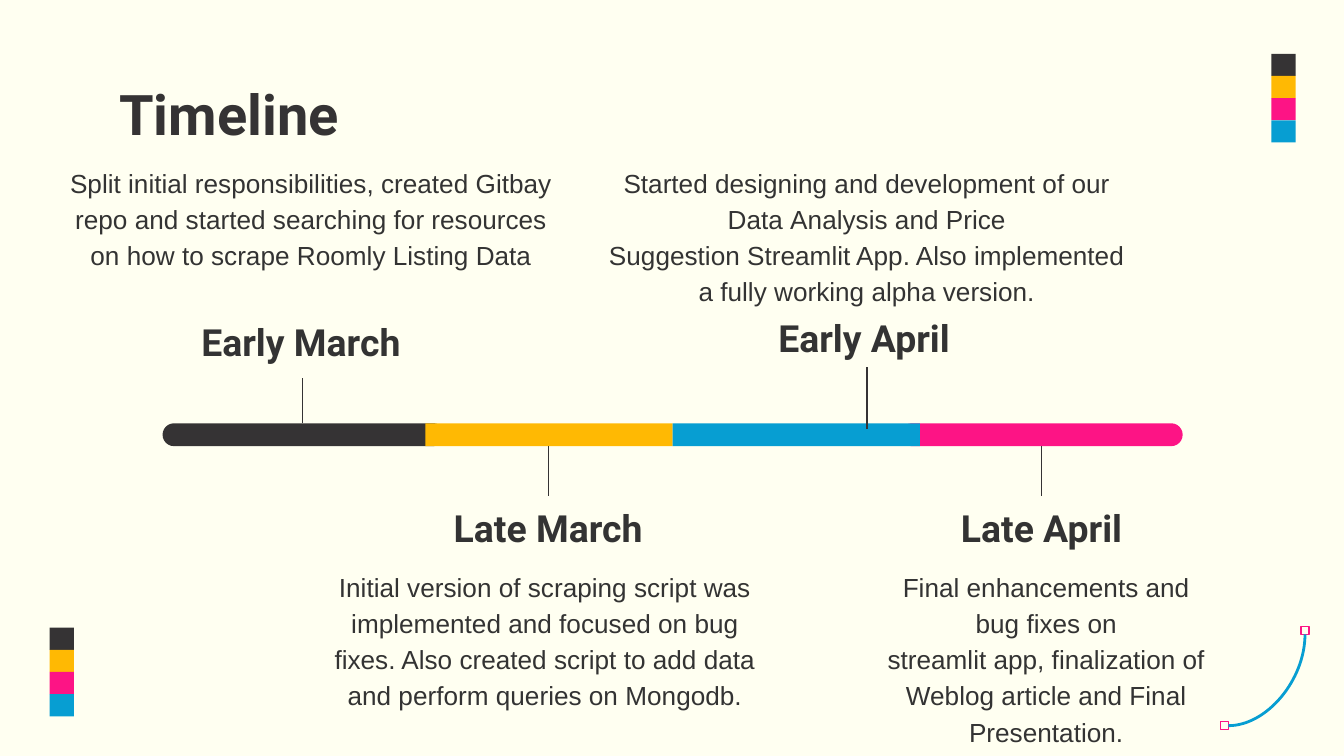
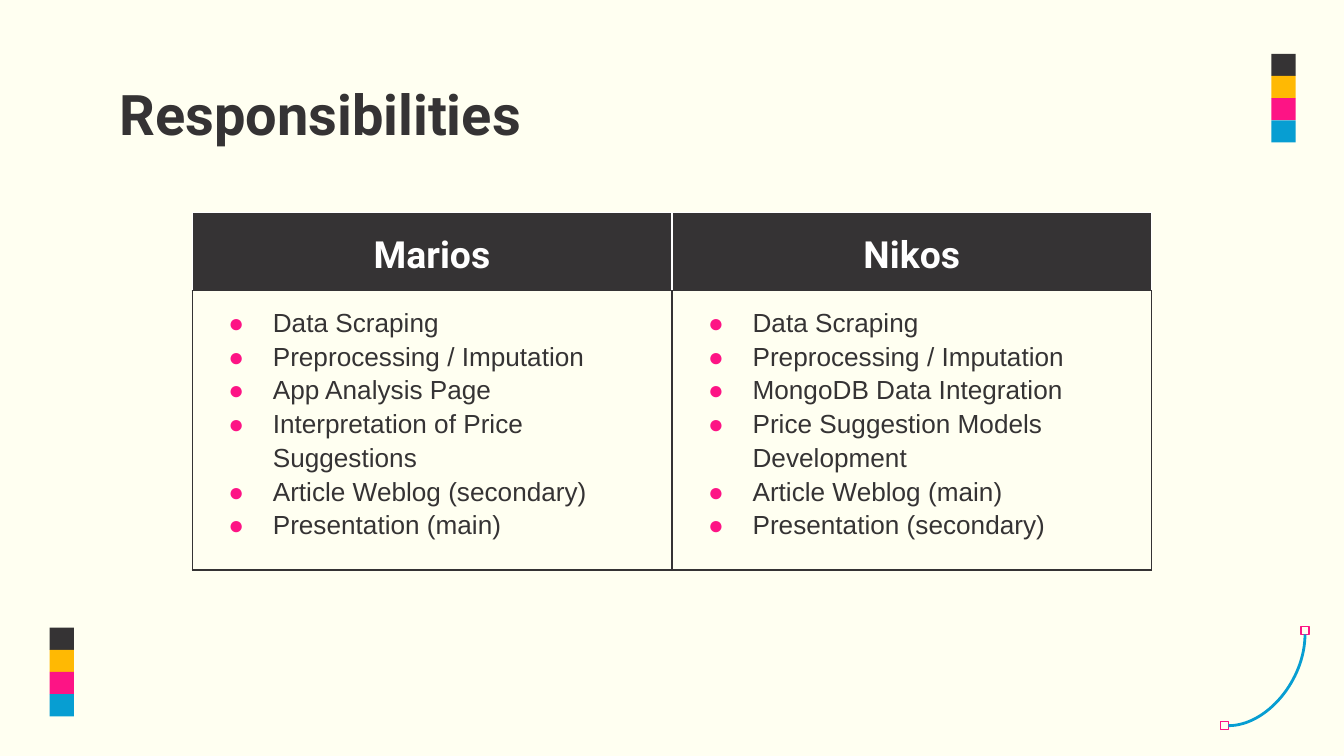
from lxml.etree import SubElement
from pptx import Presentation
from pptx.dml.color import RGBColor
from pptx.enum.shapes import MSO_CONNECTOR, MSO_SHAPE
from pptx.enum.text import MSO_ANCHOR, PP_ALIGN
from pptx.oxml.ns import qn
from pptx.util import Inches, Pt

DARK = RGBColor(0x35, 0x33, 0x34)
TEXT = RGBColor(0x33, 0x33, 0x33)
YELLOW = RGBColor(0xFF, 0xB9, 0x03)
PINK = RGBColor(0xFD, 0x14, 0x85)
BLUE = RGBColor(0x07, 0x9E, 0xD2)
CREAM = RGBColor(0xFF, 0xFF, 0xF1)
WHITE = RGBColor(0xFF, 0xFF, 0xFF)
HEAD_FONT, BODY_FONT = "Roboto", "Arial"
INSET = Inches(0.1)
NBSP = chr(160)  # keeps two words on one line

# heading, its left and top, stem (x, far end, bar end), body box, body
EVENTS = [
    ("Early March", (1.07, 2.31), (2.25, 2.81, 3.15), (0.41, 1.11, 3.81, 1.17),
     f"Split initial responsibilities, created Gitbay repo and started{NBSP}searching "
     "for resources on how to scrape Roomly Listing Data"),
    ("Late March", (2.91, 3.69), (4.08, 3.69, 3.32), (2.31, 4.12, 3.49, 1.37),
     "Initial version of scraping script was implemented and focused on bug "
     "fixes. Also created script to add data and perform queries on Mongodb."),
    ("Early April", (5.26, 2.28), (6.45, 2.73, 3.19), (4.4, 1.11, 4.1, 1.16),
     f"Started designing and development of our Data{NBSP}Analysis and Price "
     f"Suggestion{NBSP}Streamlit App. Also implemented a fully working alpha version."),
    ("Late April", (6.58, 3.69), (7.75, 3.69, 3.32), (6.3, 4.12, 2.97, 1.16),
     f"Final enhancements and bug{NBSP}fixes on streamlit{NBSP}app,{NBSP}finalization of "
     "Weblog article and Final Presentation."),
]

DUTIES = {
    "Marios": ["Data Scraping", "Preprocessing / Imputation", "App Analysis Page",
               "Interpretation of Price Suggestions",
               "Article Weblog (secondary)", "Presentation (main)"],
    "Nikos": ["Data Scraping", "Preprocessing / Imputation",
              "MongoDB Data Integration", "Price Suggestion Models Development",
              "Article Weblog (main)", "Presentation (secondary)"],
}


def style_run(p, font, size, color, bold=False):
    for r in p.runs:
        r.font.name, r.font.size, r.font.bold = font, Pt(size), bold
        r.font.color.rgb = color


def add_text(s, box, text, font, size, color, bold=False,
             align=PP_ALIGN.CENTER, anchor=MSO_ANCHOR.TOP, spacing=1.15):
    tf = s.shapes.add_textbox(*map(Inches, box)).text_frame
    tf.word_wrap = True
    tf.margin_left = tf.margin_right = tf.margin_top = tf.margin_bottom = INSET
    tf.vertical_anchor = anchor
    tf.text = text
    p = tf.paragraphs[0]
    p.alignment, p.line_spacing = align, spacing
    style_run(p, font, size, color, bold)


def add_block(s, kind, box, fill=None, line=None):
    sp = s.shapes.add_shape(kind, *map(Inches, box))
    sp.shadow.inherit = False
    if fill is None:
        sp.fill.background()
    else:
        sp.fill.solid()
        sp.fill.fore_color.rgb = fill
    if line is None:
        sp.line.fill.background()
    else:
        sp.line.color.rgb = line
        sp.line.width = Pt(0.75)
    return sp


def add_line(s, kind, start, end, color, width):
    sp = s.shapes.add_connector(kind, *map(Inches, start + end))
    sp.line.color.rgb = color
    sp.line.width = Pt(width)
    SubElement(sp._element.spPr, qn("a:effectLst"))
    return sp


def add_swatches(s, left, top, width=0.18, height=0.66):
    colors = (DARK, YELLOW, PINK, BLUE)
    step = height / len(colors)
    for i, color in enumerate(colors):
        add_block(s, MSO_SHAPE.RECTANGLE, (left, top + i * step, width, step), color)


def add_corner_curve(s, left, top, width, height):
    """Quarter curve from bottom left to top right, with a handle at each end."""
    handle = 0.06
    right, bottom = left + width, top + height
    for x, y in ((left, bottom - handle), (right - handle, top)):
        add_block(s, MSO_SHAPE.RECTANGLE, (x, y, handle, handle), line=PINK)
    curve = add_line(s, MSO_CONNECTOR.CURVE, (left + handle, bottom - handle / 2),
                     (right - handle / 2, top + handle), BLUE, 1.5)
    curve._element.spPr.find(qn("a:prstGeom")).set("prst", "curvedConnector2")


def add_base_slide(prs, title):
    s = prs.slides.add_slide(prs.slide_layouts[6])
    s.background.fill.solid()
    s.background.fill.fore_color.rgb = CREAM
    add_corner_curve(s, 9.08, 4.66, 0.66, 0.77)
    add_swatches(s, 0.37, 4.67)
    add_swatches(s, 9.46, 0.4)
    add_text(s, (0.79, 0.49, 8.43, 0.63), title, HEAD_FONT, 30, DARK, True,
             PP_ALIGN.LEFT, spacing=1.0)
    return s


def add_bar(s, left, top, width, height):
    """Rounded end pieces, partly covered by two square middle pieces."""
    end, middle = 2.1, 1.84
    center = left + width / 2
    for x, color in ((left + width - end, PINK), (left, DARK)):
        sp = add_block(s, MSO_SHAPE.ROUNDED_RECTANGLE, (x, top, end, height), color)
        sp.adjustments[0] = 0.5
    for x, color in ((center - middle, YELLOW), (center, BLUE)):
        add_block(s, MSO_SHAPE.RECTANGLE, (x, top, middle, height), color)


def add_event(s, heading, corner, stem, body_box, body):
    x, far, near = stem
    add_line(s, MSO_CONNECTOR.STRAIGHT, (x, near), (x, far), DARK, 0.75)
    add_text(s, corner + (2.34, 0.5), heading, HEAD_FONT, 20, TEXT, True,
             anchor=MSO_ANCHOR.BOTTOM)
    add_text(s, body_box, body, BODY_FONT, 14, TEXT)


def add_timeline_slide(prs):
    s = add_base_slide(prs, "Timeline")
    add_bar(s, 1.21, 3.15, 7.59, 0.17)
    for event in EVENTS:
        add_event(s, *event)


def add_bullet(p):
    pPr = p._p.get_or_add_pPr()
    pPr.set("marL", str(Inches(0.5)))
    pPr.set("indent", str(Inches(-0.33)))
    SubElement(SubElement(pPr, qn("a:buClr")), qn("a:srgbClr"), val=str(PINK))
    SubElement(pPr, qn("a:buFont"), typeface=BODY_FONT)
    SubElement(pPr, qn("a:buChar"), char="●")


def style_cell(cell, left, right, top, bottom, fill=None):
    """Set margins, the four border colours, then the fill."""
    cell.margin_left = cell.margin_right = INSET
    cell.margin_top = cell.margin_bottom = INSET
    tcPr = cell._tc.get_or_add_tcPr()
    for side, color in zip("LRTB", (left, right, top, bottom)):
        ln = SubElement(tcPr, qn(f"a:ln{side}"), w=str(Pt(0.75)))
        SubElement(SubElement(ln, qn("a:solidFill")), qn("a:srgbClr"), val=str(color))
    if fill is None:
        cell.fill.background()
    else:
        cell.fill.solid()
        cell.fill.fore_color.rgb = fill


def add_duties_table(s, left, top, width, row_heights):
    box = (left, top, width, sum(row_heights))
    table = s.shapes.add_table(len(row_heights), len(DUTIES), *map(Inches, box)).table
    table.first_row = table.horz_banding = False
    for row, height in zip(table.rows, row_heights):
        row.height = Inches(height)
    for col, (name, duties) in enumerate(DUTIES.items()):
        head, body = table.cell(0, col), table.cell(1, col)
        style_cell(head, WHITE, WHITE, WHITE, DARK, DARK)
        head.vertical_anchor = MSO_ANCHOR.BOTTOM
        head.text_frame.text = name
        p = head.text_frame.paragraphs[0]
        p.alignment, p.line_spacing = PP_ALIGN.CENTER, 1.15
        style_run(p, HEAD_FONT, 20, WHITE, True)

        style_cell(body, DARK, DARK, DARK, DARK)
        body.text_frame.text = "\n".join(duties)
        for p in body.text_frame.paragraphs:
            add_bullet(p)
            p.line_spacing = 1.15
            style_run(p, BODY_FONT, 14, DARK)


def add_responsibilities_slide(prs):
    s = add_base_slide(prs, "Responsibilities")
    add_duties_table(s, 1.43, 1.58, 7.14, (0.54, 1.16))


def main():
    prs = Presentation()
    prs.slide_width = Inches(10)
    prs.slide_height = prs.slide_width * 9 // 16
    add_timeline_slide(prs)
    add_responsibilities_slide(prs)
    prs.save("out.pptx")


if __name__ == "__main__":
    main()
